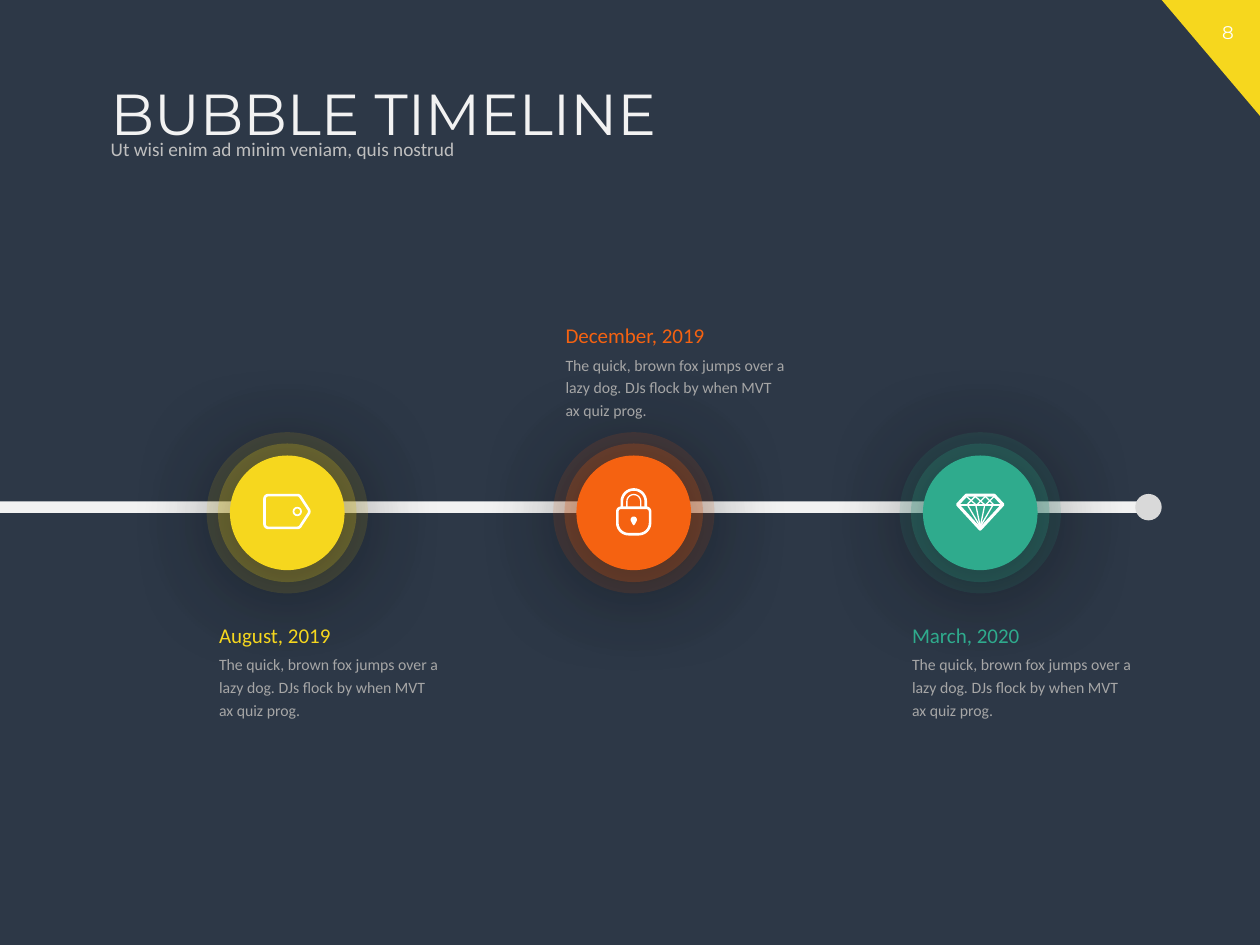
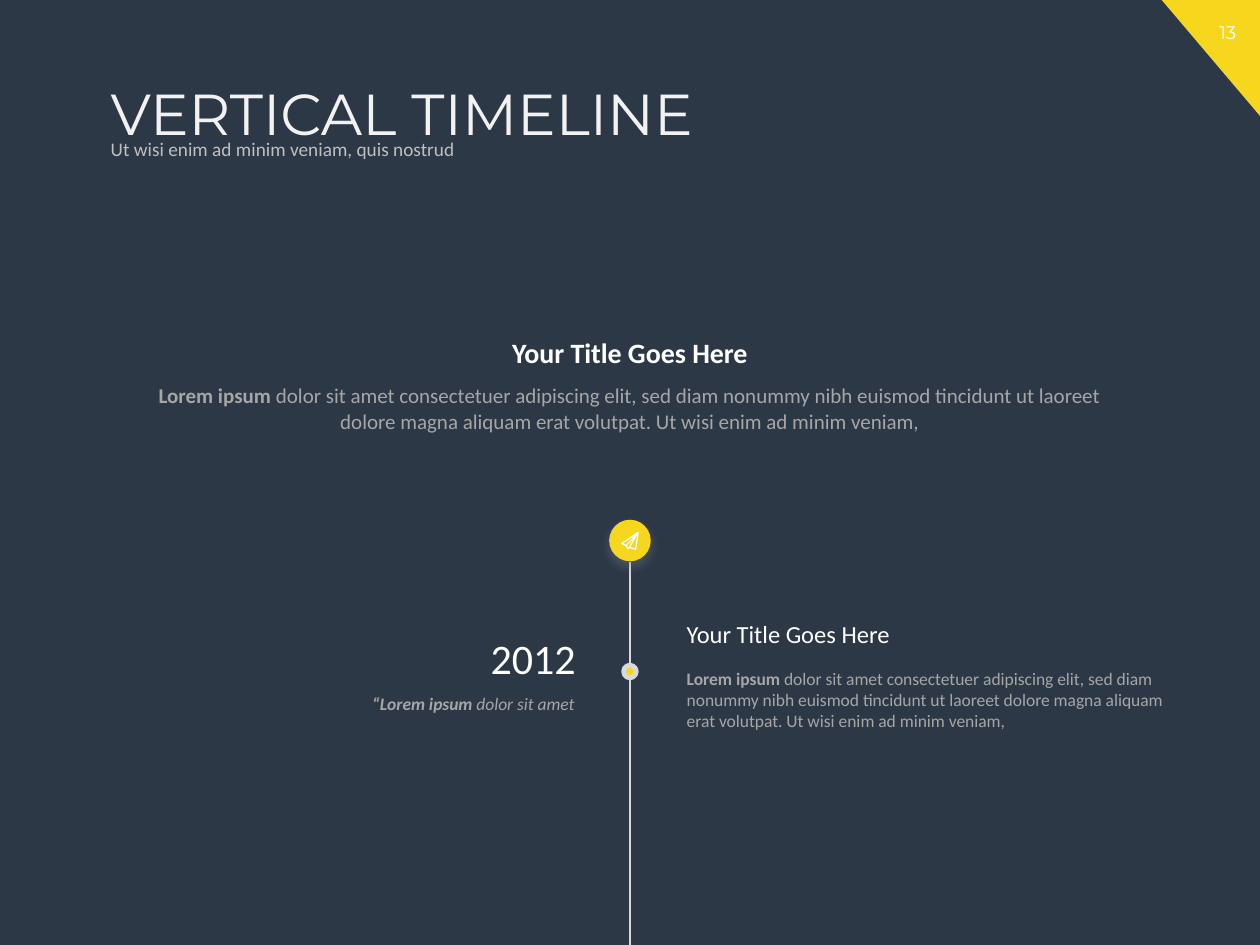
from dataclasses import dataclass
from math import cos, radians, sin
from typing import NamedTuple, Optional

from lxml.etree import SubElement
from pptx import Presentation
from pptx.dml.color import RGBColor
from pptx.enum.shapes import MSO_CONNECTOR as Connector, MSO_SHAPE as Preset
from pptx.enum.text import MSO_ANCHOR as Anchor, PP_ALIGN as Align
from pptx.oxml.ns import qn
from pptx.util import Inches, Pt

NAVY, YELLOW, ORANGE, GREEN = "2D3847", "F6D71E", "F56211", "2FAB8D"
WHITE, OFF_WHITE, LIGHT, SILVER, GREY = "FFFFFF", "F2F2F2", "D9D9D9", "BFBFBF", "A6A6A6"
BODY_FONT, TITLE_FONT = "Calibri", "Montserrat"
SUBTITLE = "Ut wisi enim ad minim veniam, quis nostrud"
EVENT_TEXT = "The quick, brown fox jumps over a lazy dog. DJs flock by when MVT ax quiz prog."
LOREM = ("dolor sit amet consectetuer adipiscing elit, sed diam nonummy nibh euismod "
         "tincidunt ut laoreet dolore magna aliquam erat volutpat. Ut wisi enim ad minim veniam,")
NORMAL_INSETS, SMALL_INSETS = (0.1, 0.05), (0.07, 0.04)
BUBBLE_LEFT, BUBBLE_STEP, BUBBLE_RADIUS, BUBBLE_Y = 1.64, 2.75, 0.64, 4.07


class Box(NamedTuple):
    """Left, top, width and height in inches."""
    left: float
    top: float
    width: float
    height: float


class Shadow(NamedTuple):
    """Downward shadow: alpha in percent, blur and distance in points."""
    color: str
    alpha: int
    blur: int
    distance: int


class Ring(NamedTuple):
    """One circle of a bubble."""
    size: float
    alpha: int
    blur: int


class Stroke(NamedTuple):
    """Icon outline in hundredths of an inch around the icon centre."""
    points: list
    closed: bool = False
    width: float = 0.75
    filled: bool = False


class Words(NamedTuple):
    """A run of text with its emphasis."""
    text: str
    bold: bool = False
    italic: bool = False


@dataclass
class Style:
    """Look of a one-paragraph text box."""
    size: float
    color: str
    font: str = BODY_FONT
    align: Align = Align.LEFT
    spacing: Optional[float] = None
    anchor: Anchor = Anchor.TOP
    insets: tuple = NORMAL_INSETS


@dataclass
class Event:
    """A dated bubble on the timeline."""
    date: str
    color: str
    date_top: float
    icon: list


def arc(x: float, y: float, radius: float, start: int, end: int) -> list:
    """Return points along an arc, with angles clockwise from the right."""
    angles = [radians(start + (end - start) * step / 16) for step in range(17)]
    return [(x + radius * cos(angle), y + radius * sin(angle)) for angle in angles]


WALLET = [
    Stroke(arc(-15, -10, 3, 180, 270) + arc(8, -10, 3, 270, 330) + arc(14.5, 0, 3, -30, 30)
           + arc(8, 10, 3, 30, 90) + arc(-15, 10, 3, 90, 180), True, 1.5),
    Stroke(arc(8, 0, 3, 0, 360), True, 1),
]
PADLOCK = [
    Stroke(arc(-10, 0, 3, 180, 270) + arc(10, 0, 3, 270, 360)
           + arc(4, 9, 9, 0, 90) + arc(-4, 9, 9, 90, 180), True, 1.5),
    Stroke([(-9.5, -3)] + arc(0, -8, 9.5, 180, 360) + [(9.5, -3)], width=1.5),
    Stroke([(-5.5, -3)] + arc(0, -8, 5.5, 180, 360) + [(5.5, -3)]),
    Stroke(arc(0, 6.5, 2.5, 150, 390) + [(1, 10), (0, 11), (-1, 10)], True, 0, True),
]
DIAMOND = [
    Stroke([(-11, -13), (11, -13), (18, -5.5), (0, 14), (-18, -5.5)], True, 1.75),
    Stroke([(-18, -5), (18, -5)], width=1),
    Stroke([(-11, -12), (-3, -5), (4, -12), (11, -5)]),
    Stroke([(-11, -5), (-4, -12), (4, -5), (11, -12)]),
] + [Stroke([(x, -5), (0, 12)]) for x in (-10, -3.5, 3.5, 10)]
PAPER_PLANE = [
    Stroke([(6.5, -6.5), (-6.5, 2.5), (-3, 4), (-1.5, 6.5), (0, 5.5), (4.5, 7)], True),
    Stroke([(-3, 4), (6, -6), (-1, 6)], width=0.5),
    Stroke([(0, 5), (6, -6)], width=0.5),
]
RINGS = [Ring(1.28, 13, 49), Ring(1.1, 25, 49), Ring(0.91, 100, 64)]
EVENTS = [
    Event("August, 2019", YELLOW, 4.85, WALLET),
    Event("December, 2019", ORANGE, 2.47, PADLOCK),
    Event("March, 2020", GREEN, 4.85, DIAMOND),
]


def rgb(color: str) -> RGBColor:
    """Turn a hex string into a colour."""
    return RGBColor.from_string(color)


def centered(x: float, y: float, size: float) -> Box:
    """Return a square box around a centre."""
    return Box(x - size / 2, y - size / 2, size, size)


def add_alpha(color_element, percent: int) -> None:
    """Make a colour element partly transparent."""
    SubElement(color_element, qn("a:alpha"), val=str(percent * 1000))


def add_shape(shapes, preset, box: Box, color: str, alpha: int = 100,
              shadow: Optional[Shadow] = None):
    """Draw a filled preset shape without an outline."""
    shape = shapes.add_shape(preset, *map(Inches, box))
    shape.fill.solid()
    shape.fill.fore_color.rgb = rgb(color)
    shape.line.fill.background()
    shape.shadow.inherit = False
    properties = shape.element.spPr
    if alpha < 100:
        add_alpha(properties.find(f"{qn('a:solidFill')}/{qn('a:srgbClr')}"), alpha)
    if shadow:
        outer = SubElement(properties.find(qn("a:effectLst")), qn("a:outerShdw"),
                           blurRad=str(Pt(shadow.blur)), dist=str(Pt(shadow.distance)),
                           dir="5400000", algn="t", rotWithShape="0")
        add_alpha(SubElement(outer, qn("a:srgbClr"), val=shadow.color), shadow.alpha)
    return shape


def add_text(slide, box: Box, style: Style, *runs: Words) -> None:
    """Write one paragraph in a wrapping text box."""
    frame = slide.shapes.add_textbox(*map(Inches, box)).text_frame
    frame.word_wrap = True
    frame.vertical_anchor = style.anchor
    frame.margin_left = frame.margin_right = Inches(style.insets[0])
    frame.margin_top = frame.margin_bottom = Inches(style.insets[1])
    paragraph = frame.paragraphs[0]
    paragraph.alignment = style.align
    paragraph.line_spacing = style.spacing
    for words in runs:
        run = paragraph.add_run()
        run.text = words.text
        run.font.name, run.font.size = style.font, Pt(style.size)
        run.font.color.rgb = rgb(style.color)
        run.font.bold, run.font.italic = words.bold, words.italic


def add_icon(slide, x: float, y: float, strokes: list) -> None:
    """Draw a white icon as a group around a centre."""
    group = slide.shapes.add_group_shape()
    for stroke in strokes:
        points = [(Inches(x + dx / 100), Inches(y + dy / 100)) for dx, dy in stroke.points]
        builder = group.shapes.build_freeform(*points[0])
        builder.add_line_segments(points[1:], close=stroke.closed)
        shape = builder.convert_to_shape()
        shape.shadow.inherit = False
        if stroke.filled:
            shape.fill.solid()
            shape.fill.fore_color.rgb = rgb(WHITE)
            shape.line.fill.background()
        else:
            shape.fill.background()
            shape.line.color.rgb = rgb(WHITE)
            shape.line.width = Pt(stroke.width)


def add_base_slide(presentation, number: int, title: str):
    """Add a slide with background, corner number, title and subtitle."""
    slide = presentation.slides.add_slide(presentation.slide_layouts[6])
    slide.background.fill.solid()
    slide.background.fill.fore_color.rgb = rgb(NAVY)
    corner = add_shape(slide.shapes, Preset.RIGHT_TRIANGLE, Box(9.22, 0, 0.78, 0.92), YELLOW)
    corner.rotation = 180
    add_text(slide, Box(9.49, 0.12, 0.51, 0.28),
             Style(10.5, WHITE, TITLE_FONT, Align.CENTER), Words(str(number)))
    add_text(slide, Box(0.78, 0.63, 8.86, 0.73),
             Style(33, OFF_WHITE, TITLE_FONT, spacing=0.9), Words(title))
    add_text(slide, Box(0.78, 1.06, 7.21, 0.26),
             Style(11, SILVER, spacing=0.9, anchor=Anchor.MIDDLE), Words(SUBTITLE))
    return slide


def add_bubble_timeline(presentation) -> None:
    """Build the horizontal timeline of bubbles."""
    slide = add_base_slide(presentation, 8, "BUBBLE TIMELINE")
    bar = add_shape(slide.shapes, Preset.ROUNDED_RECTANGLE, Box(-0.09, 3.98, 9.22, 0.09), OFF_WHITE)
    bar.adjustments[0] = 0.5
    for index, event in enumerate(EVENTS):
        left = BUBBLE_LEFT + index * BUBBLE_STEP
        center = left + BUBBLE_RADIUS
        bubble = slide.shapes.add_group_shape()
        for ring in RINGS:
            add_shape(bubble.shapes, Preset.OVAL, centered(center, BUBBLE_Y, ring.size),
                      event.color, ring.alpha, Shadow("000000", 43, ring.blur, 4))
        add_icon(slide, center, BUBBLE_Y - 0.01, event.icon)
        add_text(slide, Box(left, event.date_top, 2.07, 0.34),
                 Style(12, event.color, spacing=1.2), Words(event.date))
        add_text(slide, Box(left, event.date_top + 0.27, 1.95, 0.65),
                 Style(9, GREY, spacing=1.2), Words(EVENT_TEXT))
    add_shape(slide.shapes, Preset.OVAL, Box(9.01, 3.92, 0.21, 0.21), LIGHT)


def add_vertical_timeline(presentation) -> None:
    """Build the vertical timeline with its first year."""
    slide = add_base_slide(presentation, 13, "VERTICAL TIMELINE")
    heading, lead = Words("Your Title Goes Here"), Words("Lorem ipsum ", bold=True)

    def style(size: float, color: str, align: Align = Align.LEFT) -> Style:
        return Style(size, color, align=align, insets=SMALL_INSETS)

    add_text(slide, Box(1, 3, 8, 0.48), style(12, GREY, Align.CENTER), lead, Words(LOREM))
    add_text(slide, Box(3.42, 2.62, 3.16, 0.35), style(16, WHITE, Align.CENTER),
             heading._replace(bold=True))

    axis = slide.shapes.add_connector(Connector.STRAIGHT, Inches(5), Inches(4.46),
                                      Inches(5), Inches(7.5))
    axis.line.color.rgb = rgb(LIGHT)
    axis.line.width = Pt(1)
    SubElement(axis.element.spPr, qn("a:effectLst"))
    dot = add_shape(slide.shapes, Preset.OVAL, centered(5, 5.33, 0.1), YELLOW)
    dot.line.color.rgb = rgb(LIGHT)
    dot.line.width = Pt(2.75)
    add_shape(slide.shapes, Preset.FLOWCHART_CONNECTOR, centered(5, 4.29, 0.33), YELLOW,
              shadow=Shadow("808080", 40, 6, 3))
    add_icon(slide, 5, 4.29, PAPER_PLANE)

    add_text(slide, Box(5.38, 5.26, 4.02, 0.58), style(10, GREY), lead, Words(LOREM))
    add_text(slide, Box(5.38, 4.87, 3.16, 0.31), style(14, WHITE), heading)
    add_text(slide, Box(3.41, 4.98, 1.23, 0.48), style(24, WHITE, Align.RIGHT), Words("2012"))
    add_text(slide, Box(2.16, 5.46, 2.47, 0.24), style(10, GREY, Align.RIGHT),
             Words("“Lorem ipsum ", True, True), Words("dolor sit amet", italic=True))


def main() -> None:
    """Build and save the presentation."""
    presentation = Presentation()
    presentation.slide_width, presentation.slide_height = Inches(10), Inches(7.5)
    add_bubble_timeline(presentation)
    add_vertical_timeline(presentation)
    presentation.save("out.pptx")


if __name__ == "__main__":
    main()
